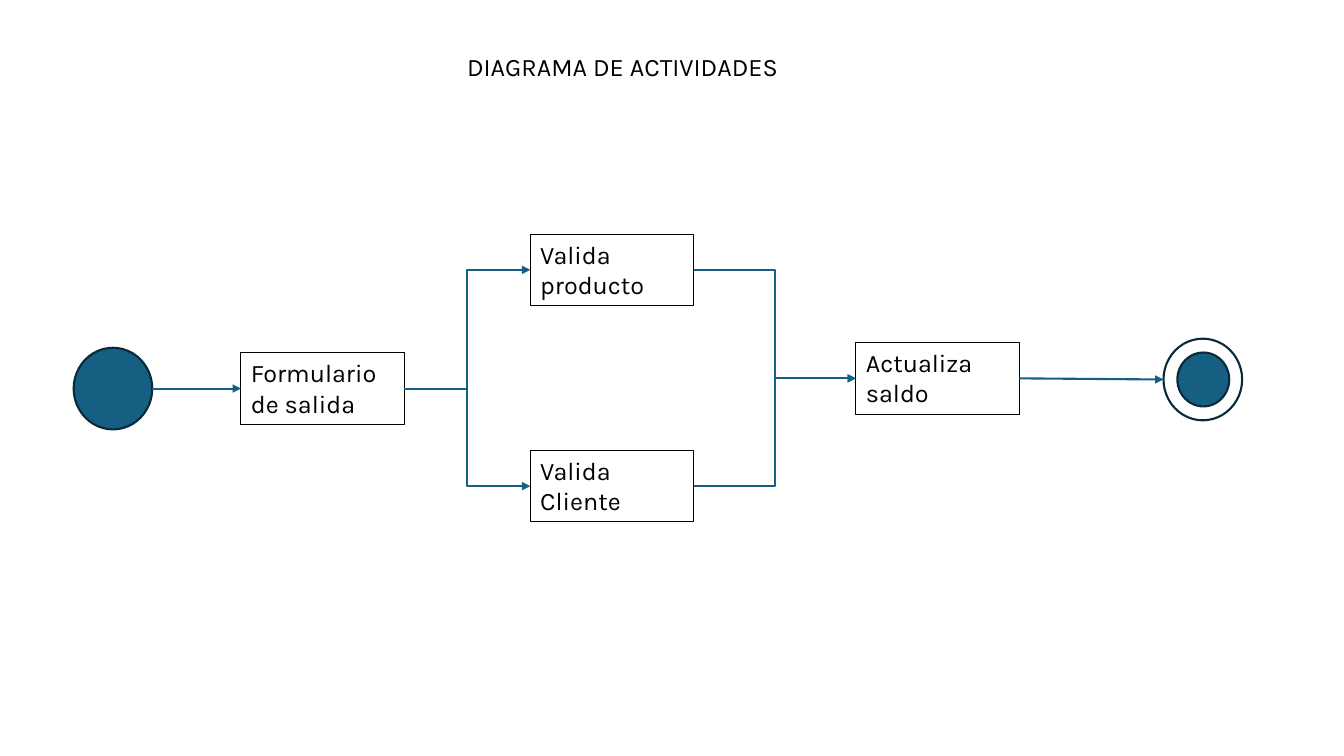
from dataclasses import dataclass

from lxml import etree
from pptx import Presentation
from pptx.dml.color import RGBColor
from pptx.enum.shapes import MSO_CONNECTOR, MSO_SHAPE
from pptx.enum.text import MSO_ANCHOR, PP_ALIGN
from pptx.oxml.ns import qn
from pptx.shapes.autoshape import Shape
from pptx.slide import Slide
from pptx.text.text import TextFrame
from pptx.util import Inches, Pt

RECTANGLE, OVAL = MSO_SHAPE.RECTANGLE, MSO_SHAPE.OVAL
STRAIGHT, ELBOW = MSO_CONNECTOR.STRAIGHT, MSO_CONNECTOR.ELBOW
TOP, LEFT, CENTER = MSO_ANCHOR.TOP, PP_ALIGN.LEFT, PP_ALIGN.CENTER

COLORS = {
    "text": "000000",
    "border": "000000",
    "flow": "156082",
    "ring": "092A39",
    "paper": "FFFFFF",
}
FONT, FONT_SIZE = "Karla", 18
SLIDE_WIDTH, SLIDE_HEIGHT = Inches(13.33), Inches(7.5)
COLUMN, ROW = SLIDE_WIDTH / 100, SLIDE_HEIGHT / 100  # grid of 100 by 100


@dataclass(frozen=True)
class Node:
    """A stage of the flow: left edge in columns, vertical middle in rows."""
    left: float
    middle: float
    width: float
    height: float
    text: str = ""
    fill: str = ""

    @property
    def right(self) -> float:
        return self.left + self.width

    @property
    def top(self) -> float:
        return self.middle - self.height / 2


def activity(left: float, middle: float, text: str) -> Node:
    return Node(left, middle, 12.15, 9.47, text=text)


def state(left: float, middle: float, fill: str, scale: float = 1) -> Node:
    return Node(left, middle, 5.85 * scale, 10.8 * scale, fill=fill)


START = state(5.48, 51.4, "flow")
FORM = activity(17.93, 51.4, "Formulario de salida")
PRODUCT = activity(39.46, 35.7, "Valida producto")
CLIENT = activity(39.46, 64.3, "Valida Cliente")
BALANCE = activity(63.69, 50.05, "Actualiza saldo")
END_RING = state(86.57, 50.2, "paper")
END_CORE = state(87.6, 50.2, "flow", scale=0.66)

NODES = [END_RING, END_CORE, START, FORM, PRODUCT, CLIENT, BALANCE]
FLOWS = [
    (FORM, PRODUCT, ELBOW),
    (FORM, CLIENT, ELBOW),
    (PRODUCT, BALANCE, ELBOW),
    (CLIENT, BALANCE, ELBOW),
    (START, FORM, STRAIGHT),
    (BALANCE, END_RING, STRAIGHT),
]


def color(name: str) -> RGBColor:
    return RGBColor.from_string(COLORS[name])


def cols(count: float) -> int:
    return round(count * COLUMN)


def rows(count: float) -> int:
    return round(count * ROW)


def write(frame: TextFrame, text: str, alignment: PP_ALIGN) -> None:
    frame.text = text
    frame.word_wrap = True
    frame.vertical_anchor = TOP
    frame.margin_left = frame.margin_right = Inches(0.1)
    frame.margin_top = frame.margin_bottom = Inches(0.05)
    paragraph = frame.paragraphs[0]
    paragraph.alignment = alignment
    paragraph.font.name = FONT
    paragraph.font.size = Pt(FONT_SIZE)
    paragraph.font.color.rgb = color("text")


def add_title(slide: Slide, text: str) -> None:
    title = slide.shapes.title
    title.left, title.top = cols(32.48), rows(6.13)
    title.width, title.height = cols(27.68), rows(5.33)
    write(title.text_frame, text, CENTER)


def add_node(slide: Slide, node: Node) -> Shape:
    shape = slide.shapes.add_shape(
        RECTANGLE if node.text else OVAL,
        cols(node.left), rows(node.top), cols(node.width), rows(node.height),
    )
    shape.shadow.inherit = False
    if node.text:
        shape.fill.background()
        write(shape.text_frame, node.text, LEFT)
    else:
        shape.fill.solid()
        shape.fill.fore_color.rgb = color(node.fill)
    shape.line.color.rgb = color("border" if node.text else "ring")
    shape.line.width = Pt(0.75 if node.text else 1.5)
    return shape


def add_flow(slide: Slide, source: Node, target: Node, kind: MSO_CONNECTOR) -> None:
    """Draw an arrow from the right side of source to the left side of target."""
    arrow = slide.shapes.add_connector(
        kind,
        cols(source.right), rows(source.middle),
        cols(target.left), rows(target.middle),
    )
    arrow.line.color.rgb = color("flow")
    arrow.line.width = Pt(1.5)
    etree.SubElement(arrow.line._get_or_add_ln(), qn("a:tailEnd"), type="triangle")
    etree.SubElement(arrow._element.spPr, qn("a:effectLst"))


def main() -> None:
    presentation = Presentation()
    presentation.slide_width = SLIDE_WIDTH
    presentation.slide_height = SLIDE_HEIGHT
    title_only = presentation.slide_layouts.get_by_name("Title Only")
    slide = presentation.slides.add_slide(title_only)

    add_title(slide, "DIAGRAMA DE ACTIVIDADES")
    for node in NODES:
        add_node(slide, node)
    for source, target, kind in FLOWS:
        add_flow(slide, source, target, kind)

    presentation.save("out.pptx")


if __name__ == "__main__":
    main()
